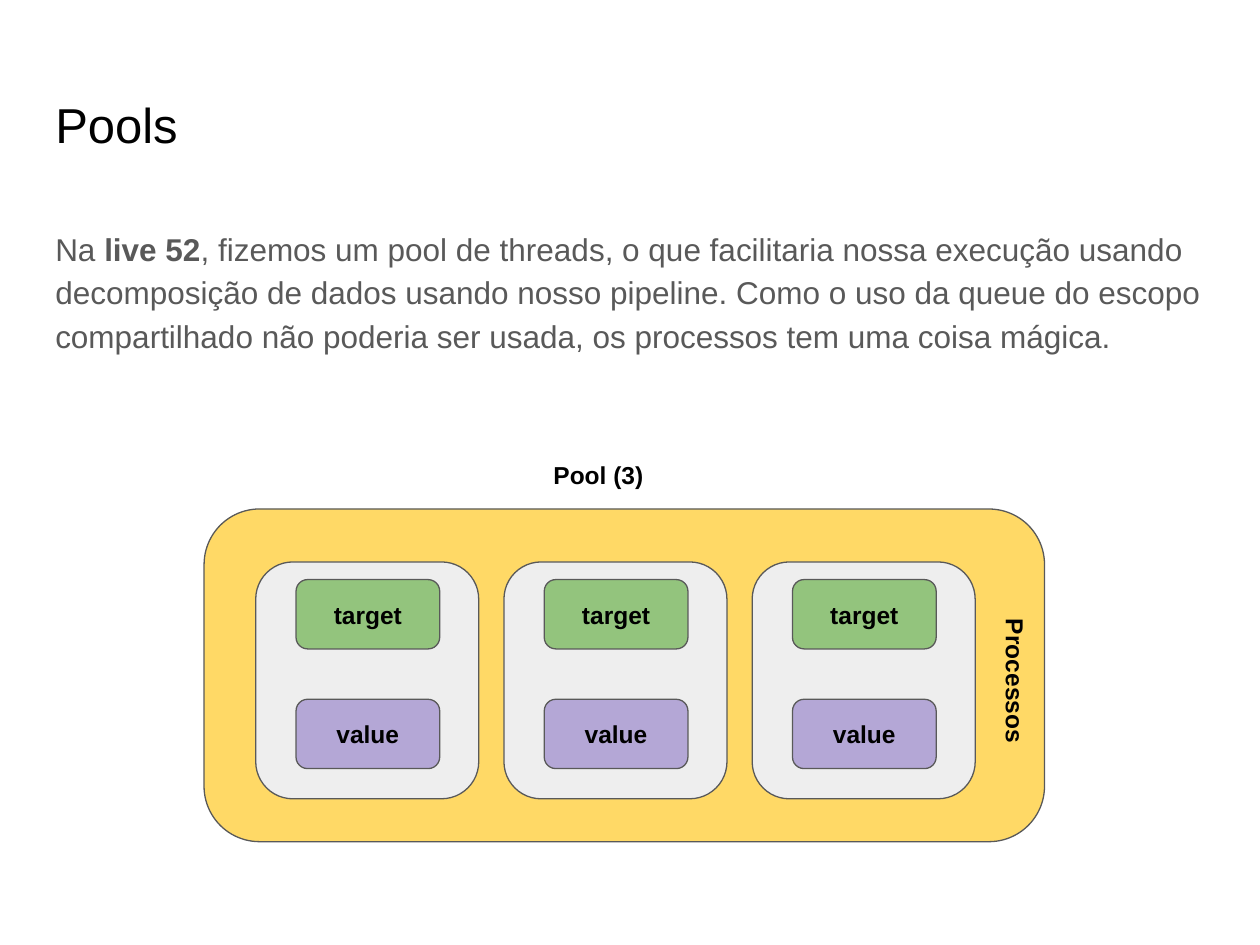
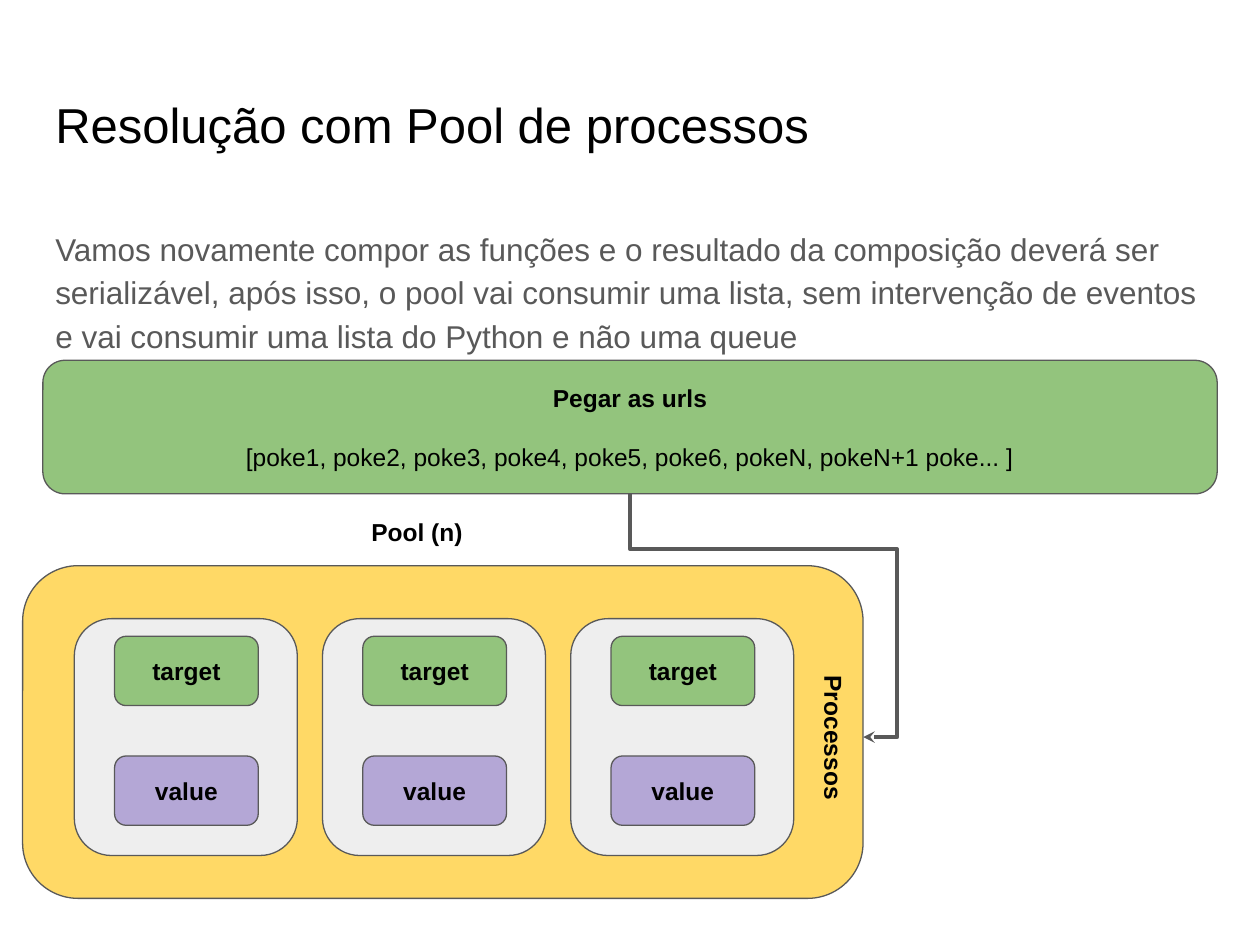
import pptx
import pptx.util
import pptx.dml.color
import pptx.enum.shapes
import pptx.enum.text
import pptx.oxml.ns
import lxml.etree

Inches = pptx.util.Inches
Pt = pptx.util.Pt
RGBColor = pptx.dml.color.RGBColor
Align = pptx.enum.text.PP_ALIGN
Anchor = pptx.enum.text.MSO_ANCHOR
qn = pptx.oxml.ns.qn

BLACK = RGBColor(0x00, 0x00, 0x00)
GRAY = RGBColor(0x59, 0x59, 0x59)
LIGHT = RGBColor(0xEE, 0xEE, 0xEE)
YELLOW = RGBColor(0xFF, 0xD9, 0x66)
GREEN = RGBColor(0x93, 0xC4, 0x7D)
PURPLE = RGBColor(0xB4, 0xA7, 0xD6)

FRAME = {"word_wrap": True, "margin_left": Inches(0.1), "margin_right": Inches(0.1),
         "margin_top": Inches(0.1), "margin_bottom": Inches(0.1)}
TITLE = {"size": Pt(28)}
BODY = {"size": Pt(18), "color": GRAY}
LABEL = {"size": Pt(14), "bold": True}
PLAIN = {"size": Pt(14), "bold": False}
CENTERED = {"alignment": Align.CENTER}
BODY_SPACING = {"line_spacing": 1.15, "space_after": Pt(16)}

MARGIN, CONTENT_WIDTH = 0.34, 9.32
POOL_WIDTH, POOL_HEIGHT = 6.67, 2.64
PROCESS_COUNT, PROCESS_PITCH = 3, 1.97


def set_attributes(obj, values):
    for name, value in values.items():
        setattr(obj, name, value)


def write(sp, paragraphs, para_format, anchor=Anchor.TOP):
    tf = sp.text_frame
    set_attributes(tf, {**FRAME, "vertical_anchor": anchor})
    for i, runs in enumerate(paragraphs):
        p = tf.add_paragraph() if i else tf.paragraphs[0]
        set_attributes(p, para_format)
        for text, style in runs:
            r = p.add_run()
            r.text = text
            font = {"name": "Arial", "color": BLACK, **style}
            r.font.color.rgb = font.pop("color")
            set_attributes(r.font, font)
    return tf


def add_text(s, x, y, w, h, runs, para_format, anchor=Anchor.TOP):
    sp = s.shapes.add_textbox(Inches(x), Inches(y), Inches(w), Inches(h))
    write(sp, [runs], para_format, anchor)
    return sp


def add_box(s, x, y, w, h, fill, paragraphs=()):
    sp = s.shapes.add_shape(pptx.enum.shapes.MSO_SHAPE.ROUNDED_RECTANGLE,
                            Inches(x), Inches(y), Inches(w), Inches(h))
    sp.shadow.inherit = False
    sp.fill.solid()
    sp.fill.fore_color.rgb = fill
    sp.line.color.rgb = GRAY
    sp.line.width = Pt(0.75)
    if paragraphs:
        write(sp, paragraphs, CENTERED, Anchor.MIDDLE)
    return sp


def add_elbow_arrow(s, start, end, drop, overshoot):
    (x1, y1), (x2, y2) = start, end
    dx, dy = x2 - x1, y2 - y1
    cx, cy = (x1 + x2) / 2, (y1 + y2) / 2
    line = s.shapes.add_connector(
        pptx.enum.shapes.MSO_CONNECTOR.ELBOW,
        Inches(cx + dy / 2), Inches(cy - dx / 2), Inches(cx - dy / 2), Inches(cy + dx / 2))
    line.line.color.rgb = GRAY
    line.line.width = Pt(2.25)
    spPr = line._element.spPr
    spPr.find(qn("a:xfrm")).set("rot", str(270 * 60000))
    geom = spPr.find(qn("a:prstGeom"))
    geom.set("prst", "bentConnector4")
    guides = geom.get_or_add_avLst()
    for name, ratio in (("adj1", drop / dy), ("adj2", 1 + overshoot / dx)):
        lxml.etree.SubElement(guides, qn("a:gd"), name=name, fmla=f"val {round(ratio * 100000)}")
    lxml.etree.SubElement(spPr.find(qn("a:ln")), qn("a:tailEnd"), type="stealth")
    lxml.etree.SubElement(spPr, qn("a:effectLst"))


def add_pool(s, x, y, label):
    add_box(s, x, y, POOL_WIDTH, POOL_HEIGHT, YELLOW)
    add_text(s, x - 0.69, y - 0.49, 7.64, 0.65, [(label, LABEL)], CENTERED)
    for i in range(PROCESS_COUNT):
        left = x + 0.41 + i * PROCESS_PITCH
        add_box(s, left, y + 0.42, 1.77, 1.88, LIGHT)
        for text, fill, top in (("target", GREEN, 0.56), ("value", PURPLE, 1.51)):
            add_box(s, left + 0.32, y + top, 1.14, 0.55, fill, [[(text, LABEL)]])
    side = add_text(s, x + 5.39, y + 1.13, 2.1, 0.47, [("Processos", LABEL)],
                    CENTERED, Anchor.MIDDLE)
    side.rotation = 90


def add_content_slide(prs, title, body, body_height):
    s = prs.slides.add_slide(prs.slide_layouts[6])
    add_text(s, MARGIN, 0.65, CONTENT_WIDTH, 0.83, [(title, TITLE)], {})
    add_text(s, MARGIN, 1.68, CONTENT_WIDTH, body_height, body, BODY_SPACING)
    return s


def add_pools_slide(prs):
    body = [
        ("Na ", BODY),
        ("live 52", {**BODY, "bold": True}),
        (", fizemos um pool de threads, o que facilitaria nossa execução usando "
         "decomposição de dados usando nosso pipeline. Como o uso da queue do escopo "
         "compartilhado não poderia ser usada, os processos tem uma coisa mágica.", BODY),
    ]
    s = add_content_slide(prs, "Pools", body, 1.36)
    add_pool(s, 1.62, 4.04, "Pool (3)")


def add_solution_slide(prs):
    body = [
        ("Vamos novamente compor as funções e o resultado da composição deverá ser "
         "serializável, após isso, o pool vai consumir uma lista, sem intervenção de "
         "eventos e vai consumir uma lista do Python e não uma queue", BODY),
    ]
    s = add_content_slide(prs, "Resolução com Pool de processos", body, 1.63)
    pool_x, pool_y = 0.18, 4.49
    add_pool(s, pool_x, pool_y, "Pool (n)")
    urls_y, urls_height = 2.86, 1.06
    urls = add_box(s, MARGIN, urls_y, CONTENT_WIDTH, urls_height, GREEN, [
        [("Pegar as urls", LABEL)],
        [("[poke1, poke2, poke3, poke4, poke5, poke6, pokeN, pokeN+1 poke... ]", PLAIN)],
    ])
    urls.text_frame.paragraphs[1].space_before = Pt(17)
    add_elbow_arrow(s, (MARGIN + CONTENT_WIDTH / 2, urls_y + urls_height),
                    (pool_x + POOL_WIDTH, pool_y + 1.36), 0.44, 0.27)


def main():
    prs = pptx.Presentation()
    prs.slide_width, prs.slide_height = Inches(10), Inches(7.5)
    add_pools_slide(prs)
    add_solution_slide(prs)
    prs.save("out.pptx")


if __name__ == "__main__":
    main()
